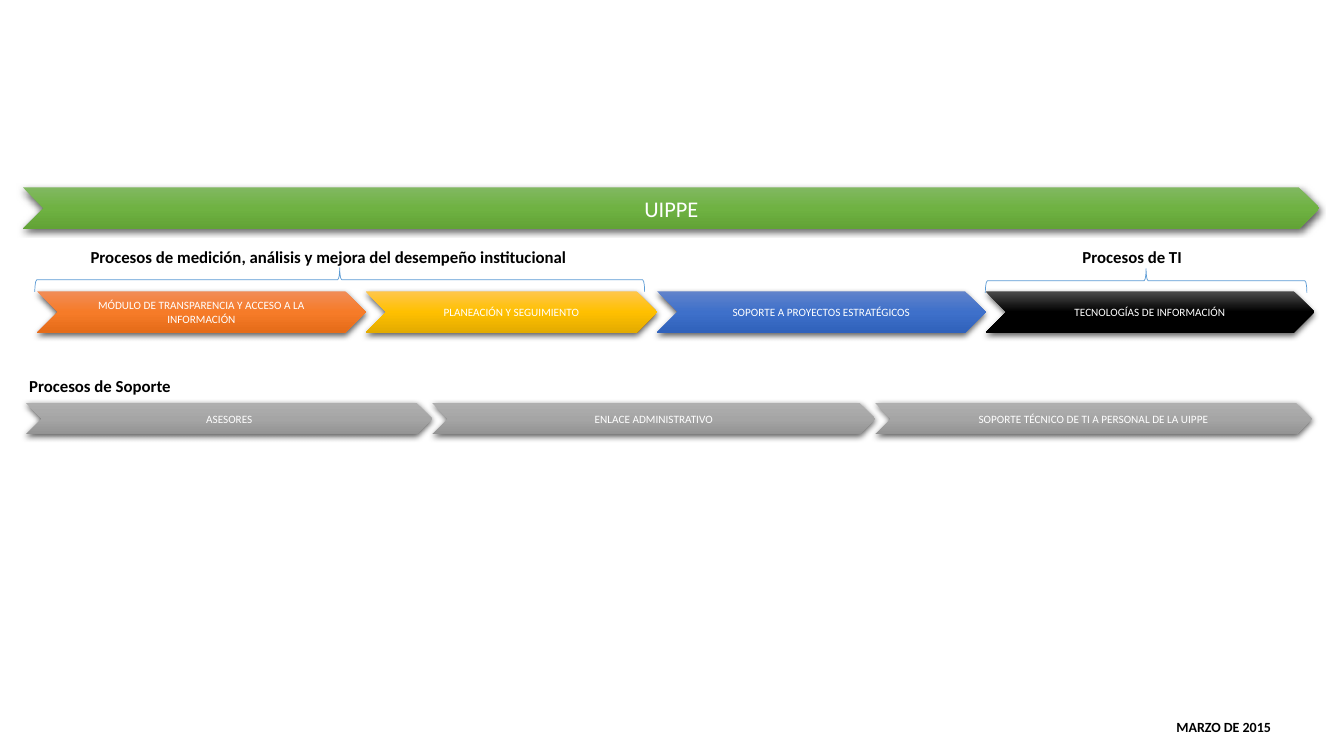
import copy
import lxml.etree
import pptx
import pptx.dml.color
import pptx.enum.shapes
import pptx.enum.text
import pptx.oxml.ns
import pptx.util

Pt = pptx.util.Pt
SHAPES = pptx.enum.shapes.MSO_SHAPE
ALIGN = pptx.enum.text.PP_ALIGN
ANCHOR = pptx.enum.text.MSO_ANCHOR
qn = pptx.oxml.ns.qn
rgb = pptx.dml.color.RGBColor.from_string

THEME = {
    "font": "Calibri",
    "text": "000000",
    "on_fill": "FFFFFF",
    "brace": "5B9BD5",
    "green": ("81B861", "6FB242", "62A336"),
    "orange": ("F18C57", "F67B28", "E56C19"),
    "yellow": ("FFC64B", "FFC000", "E3AB00"),
    "blue": ("6183CB", "3E70CA", "3062BB"),
    "black": ("4B4B4B", "000000", "000000"),
    "gray": ("AFAFAF", "A5A5A5", "939393"),
    "title_size": 16,
    "heading_size": 12,
    "date_size": 10,
    "step_size": 8,
}

presentation = pptx.Presentation()
presentation.slide_width = Pt(960)
presentation.slide_height = Pt(540)
slide = presentation.slides.add_slide(presentation.slide_layouts[6])


def write_text(shape, text, *, size, color, bold=False, align=ALIGN.LEFT, anchor=ANCHOR.TOP):
    frame = shape.text_frame
    frame.word_wrap = True
    frame.vertical_anchor = anchor
    paragraph = frame.paragraphs[0]
    paragraph.alignment = align
    run = paragraph.add_run()
    run.text = text
    run.font.name = THEME["font"]
    run.font.size = Pt(size)
    run.font.bold = bold
    run.font.color.rgb = rgb(color)


def add_chevron(text, left, top, width, height, *, colors, size):
    shape = slide.shapes.add_shape(SHAPES.CHEVRON, Pt(left), Pt(top), Pt(width), Pt(height))
    shape.line.fill.background()

    # Vertical gradient with three stops
    shape.fill.gradient()
    shape.fill.gradient_angle = 270
    properties = shape._element.spPr
    stop_list = properties.find(".//" + qn("a:gsLst"))
    stop_list.insert(1, copy.deepcopy(stop_list[0]))
    for stop, position, color in zip(shape.fill.gradient_stops, (0, 0.5, 1), colors):
        stop.position = position
        stop.color.rgb = rgb(color)

    # Soft shadow below
    shape.shadow.inherit = False
    shadow = lxml.etree.SubElement(
        properties.find(qn("a:effectLst")), qn("a:outerShdw"),
        blurRad=str(Pt(4.5)), dist=str(Pt(1.5)), dir="5400000", algn="ctr", rotWithShape="0")
    shadow_color = lxml.etree.SubElement(shadow, qn("a:srgbClr"), val=THEME["text"])
    lxml.etree.SubElement(shadow_color, qn("a:alpha"), val="63000")

    write_text(shape, text, size=size, color=THEME["on_fill"],
               align=ALIGN.CENTER, anchor=ANCHOR.MIDDLE)


# Unit banner
add_chevron("UIPPE", 16.6, 133.9, 925.9, 29.5,
            colors=THEME["green"], size=THEME["title_size"])

# Rows of steps, each step starting where the previous one ends
process_steps = [
    ("MÓDULO DE TRANSPARENCIA Y ACCESO A LA INFORMACIÓN", 234.7, "orange"),
    ("PLANEACIÓN Y SEGUIMIENTO", 208.1, "yellow"),
    ("SOPORTE A PROYECTOS ESTRATÉGICOS", 234.7, "blue"),
    ("TECNOLOGÍAS DE INFORMACIÓN", 234.7, "black"),
]
support_steps = [
    ("ASESORES", 290.2, "gray"),
    ("ENLACE ADMINISTRATIVO", 316.4, "gray"),
    ("SOPORTE TÉCNICO DE TI A PERSONAL DE LA UIPPE", 311.8, "gray"),
]
for steps, left, top, height in [(process_steps, 26.6, 208.1, 29.5),
                                 (support_steps, 18.7, 288, 22.3)]:
    for text, width, color_name in steps:
        add_chevron(text, left, top, width, height,
                    colors=THEME[color_name], size=THEME["step_size"])
        left += width

# Braces over the process groups, turned so that they point up
for left, top, length in [(234, -18, 435.6), (810, 85.7, 229.7)]:
    brace = slide.shapes.add_shape(SHAPES.RIGHT_BRACE, Pt(left), Pt(top), Pt(17.3), Pt(length))
    brace.rotation = 270
    brace.shadow.inherit = False
    brace.fill.background()
    brace.line.color.rgb = rgb(THEME["brace"])
    brace.line.width = Pt(0.5)

# Group headings and date
heading, date = THEME["heading_size"], THEME["date_size"]
for text, left, top, width, height, size, align in [
    ("Procesos de medición, análisis y mejora del desempeño institucional",
     57.6, 172.8, 390.2, 21.6, heading, ALIGN.LEFT),
    ("Procesos de TI", 766.1, 172.8, 112, 21.6, heading, ALIGN.LEFT),
    ("Procesos de Soporte", 13.7, 265, 167, 21.6, heading, ALIGN.LEFT),
    ("MARZO DE 2015", 789.1, 509.8, 169.9, 19.4, date, ALIGN.CENTER),
]:
    box = slide.shapes.add_textbox(Pt(left), Pt(top), Pt(width), Pt(height))
    write_text(box, text, size=size, color=THEME["text"], bold=True, align=align)

presentation.save("out.pptx")
